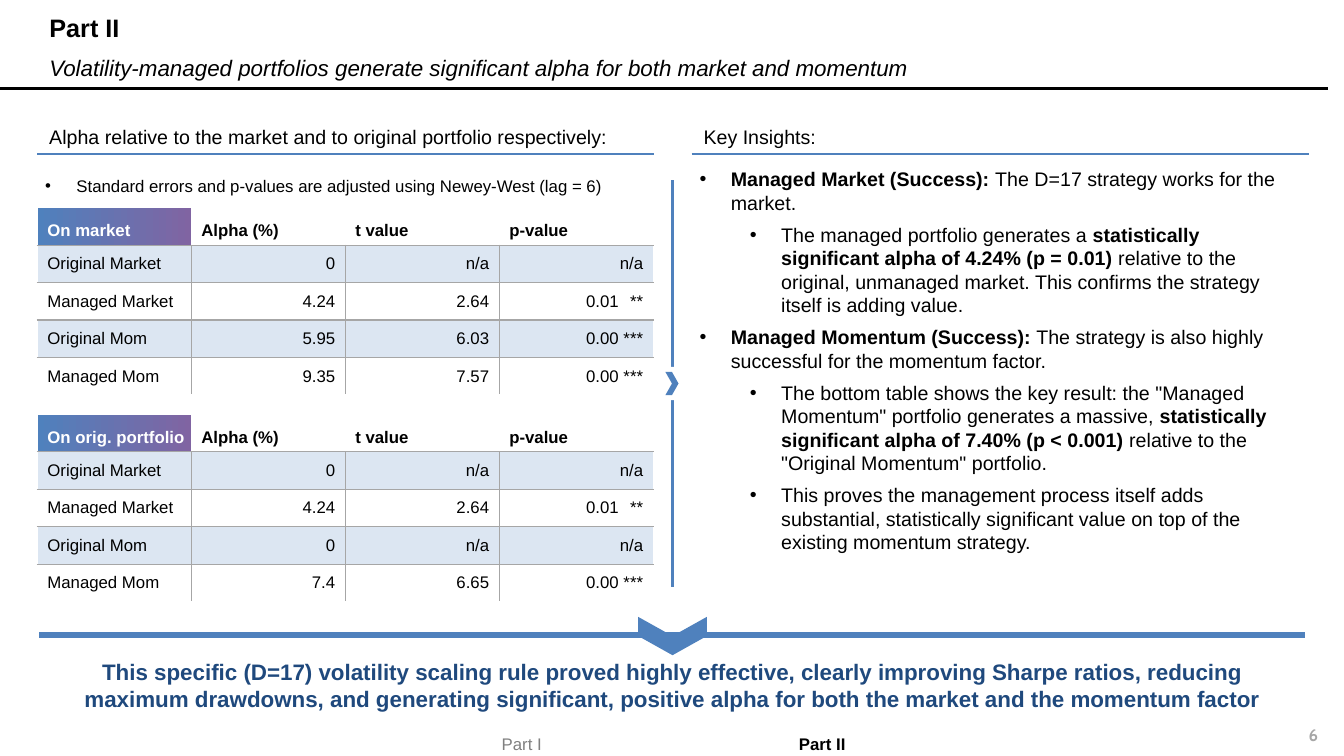
"""Builds the Part II slide on volatility-managed portfolios."""
from dataclasses import dataclass

from lxml import etree
from pptx import Presentation
from pptx import util as u
from pptx.dml.color import RGBColor
from pptx.enum import shapes, text
from pptx.oxml import ns


@dataclass(frozen=True)
class Theme:
    font: str = "Arial"
    number_font: str = "Cabin"
    black: str = "000000"
    white: str = "FFFFFF"
    blue: str = "4F81BD"
    purple: str = "8064A2"
    navy: str = "1F497D"
    band: str = "DCE6F2"
    rule: str = "A6A6A6"
    muted: str = "808080"
    title: int = 18
    lead: int = 16
    body: int = 14
    small: int = 12


LEFT, CENTER, RIGHT = text.PP_ALIGN.LEFT, text.PP_ALIGN.CENTER, text.PP_ALIGN.RIGHT
TOP, MIDDLE, BOTTOM = text.MSO_ANCHOR.TOP, text.MSO_ANCHOR.MIDDLE, text.MSO_ANCHOR.BOTTOM


class SlideBuilder:
    def __init__(self, deck, theme):
        self.theme = theme
        self.page = deck.slides.add_slide(deck.slide_layouts[5])

    def span(self, para, words, size, color=None, bold=False, italic=False, font=None):
        span = para.add_run()
        span.text = words
        span.font.name = font or self.theme.font
        span.font.size = u.Pt(size)
        span.font.bold = bold
        span.font.italic = italic
        span.font.color.rgb = RGBColor.from_string(color or self.theme.black)
        return span

    def frame(self, box, at, anchor=TOP, inset=True):
        box.left, box.top, box.width, box.height = map(u.Inches, at)
        frame = box.text_frame
        frame.word_wrap = True
        frame.auto_size = text.MSO_AUTO_SIZE.NONE
        frame.vertical_anchor = anchor
        if not inset:
            frame.margin_left = frame.margin_right = 0
            frame.margin_top = frame.margin_bottom = 0
        return frame

    def line_of_text(self, box, at, words, size, align=LEFT, anchor=TOP, inset=True,
                     spacing=None, **look):
        para = self.frame(box, at, anchor, inset).paragraphs[0]
        para.alignment = align
        if spacing:
            para.line_spacing = spacing
        self.span(para, words, size, **look)

    def title(self, at, words):
        self.line_of_text(self.page.shapes.title, at, words, self.theme.title,
                          anchor=BOTTOM, spacing=0.9, bold=True)

    def label(self, at, words, size, **look):
        box = self.page.shapes.add_textbox(0, 0, 0, 0)
        self.line_of_text(box, at, words, size, **look)

    def bullets(self, at, items, size, before=0):
        frame = self.frame(self.page.shapes.add_textbox(0, 0, 0, 0), at)
        for index, (level, spans) in enumerate(items):
            para = frame.add_paragraph() if index else frame.paragraphs[0]
            para.level = level
            para.space_before = u.Pt(before)
            props = para._p.get_or_add_pPr()
            props.set("marL", str(u.Inches(0.31 + 0.5 * level)))
            props.set("indent", str(u.Inches(-0.31)))
            etree.SubElement(props, ns.qn("a:buFont")).set("typeface", self.theme.font)
            etree.SubElement(props, ns.qn("a:buChar")).set("char", "•")
            for words, bold in spans:
                self.span(para, words, size, bold=bold)

    def line(self, start, end, color, width):
        line = self.page.shapes.add_connector(
            shapes.MSO_CONNECTOR.STRAIGHT, *map(u.Inches, start + end))
        line.line.color.rgb = RGBColor.from_string(color)
        line.line.width = u.Pt(width)
        etree.SubElement(line._element.spPr, ns.qn("a:effectLst"))

    def shape(self, kind, at, color, rotation=0):
        shape = self.page.shapes.add_shape(kind, *map(u.Inches, at))
        shape.shadow.inherit = False
        shape.fill.solid()
        shape.fill.fore_color.rgb = RGBColor.from_string(color)
        shape.line.fill.background()
        shape.rotation = rotation
        return shape

    def heading(self, left, words):
        at = (left + 0.02, 1.2, 6.1, 0.32)
        box = self.shape(shapes.MSO_SHAPE.RECTANGLE, at, self.theme.white)
        self.line_of_text(box, at, words, self.theme.body, anchor=MIDDLE)
        self.line((left, 1.53), (left + 6.12, 1.53), self.theme.blue, 1.5)

    def borders(self, cell, sides):
        props = cell._tc.get_or_add_tcPr()
        for index, (side, color) in enumerate(sides):
            edge = etree.Element(ns.qn(f"a:ln{side}"), w=str(u.Pt(1)))
            fill = etree.SubElement(edge, ns.qn("a:solidFill"))
            etree.SubElement(fill, ns.qn("a:srgbClr")).set("val", color)
            props.insert(index, edge)

    def cell_fill(self, cell, row, col):
        theme = self.theme
        if row == 0 and col == 0:
            cell.fill.gradient()
            cell.fill.gradient_angle = 0
            for stop, color in zip(cell.fill.gradient_stops, (theme.blue, theme.purple)):
                stop.color.rgb = RGBColor.from_string(color)
        elif row % 2:
            cell.fill.solid()
            cell.fill.fore_color.rgb = RGBColor.from_string(theme.band)
        else:
            cell.fill.background()

    def table(self, at, rows):
        theme = self.theme
        last_row, last_col = len(rows) - 1, len(rows[0]) - 1
        table = self.page.shapes.add_table(
            len(rows), len(rows[0]), *map(u.Inches, at)).table
        table.first_row = table.horz_banding = False
        for row, values in enumerate(rows):
            for col, value in enumerate(values):
                cell = table.cell(row, col)
                cell.vertical_anchor = MIDDLE if row else BOTTOM
                cell.margin_right = u.Inches(0.1 if row or col else 0.04)
                para = cell.text_frame.paragraphs[0]
                para.alignment = RIGHT if row and col else LEFT
                color = theme.black if row or col else theme.white
                number, gap, stars = value.partition(" ") if col == last_col else (value, "", "")
                self.span(para, number, theme.small, color, bold=row == 0)
                if gap:
                    space = self.span(para, gap, theme.small)
                    if stars == "**":
                        space._r.get_or_add_rPr().set("spc", "467")
                    self.span(para, stars, theme.small)
                self.cell_fill(cell, row, col)
                edges = (("L", col == 0), ("R", col == last_col),
                         ("T", row == 0), ("B", row == last_row))
                self.borders(cell, [
                    (side, theme.white if outer or (row == 0 and side in "LR") else theme.rule)
                    for side, outer in edges])


def main():
    theme = Theme()
    deck = Presentation()
    deck.slide_width, deck.slide_height = u.Inches(13.33), u.Inches(7.5)
    slide = SlideBuilder(deck, theme)

    slide.title((0.39, 0, 12.58, 0.48), "Part II")
    slide.label((0.39, 0.53, 12.58, 0.32),
                "Volatility-managed portfolios generate significant alpha for both market and momentum",
                theme.lead, anchor=MIDDLE, spacing=0.9, italic=True)
    slide.line((0, 0.88), (13.17, 0.88), theme.black, 2.25)

    slide.heading(0.37, "Alpha relative to the market and to original portfolio respectively:")
    slide.heading(6.86, "Key Insights:")

    slide.line((6.67, 1.79), (6.67, 5.82), theme.blue, 2.5)
    slide.shape(shapes.MSO_SHAPE.RECTANGLE, (6.6, 3.64, 0.13, 0.33), theme.white)
    slide.shape(shapes.MSO_SHAPE.CHEVRON, (6.6, 3.69, 0.13, 0.23), theme.blue)

    slide.bullets((0.35, 1.69, 6.31, 0.96), [
        (0, [("Standard errors and p-values are adjusted using Newey-West (lag = 6)", False)]),
    ], theme.small)
    columns = ["Alpha (%)", "t value", "p-value"]
    original_market = ["Original Market", "0", "n/a", "n/a"]
    managed_market = ["Managed Market", "4.24", "2.64", "0.01 **"]
    slide.table((0.37, 2.06, 6.11, 1.86), [
        ["On market", *columns], original_market, managed_market,
        ["Original Mom", "5.95", "6.03", "0.00 ***"],
        ["Managed Mom", "9.35", "7.57", "0.00 ***"]])
    slide.table((0.37, 4.11, 6.11, 1.86), [
        ["On orig. portfolio", *columns], original_market, managed_market,
        ["Original Mom", "0", "n/a", "n/a"],
        ["Managed Mom", "7.4", "6.65", "0.00 ***"]])

    slide.bullets((6.84, 1.61, 6.14, 4.21), [
        (0, [("Managed Market (Success): ", True),
             ("The D=17 strategy works for the market.", False)]),
        (1, [("The managed portfolio generates a ", False),
             ("statistically significant alpha of 4.24% (p = 0.01)", True),
             (" relative to the original, unmanaged market. This confirms the strategy itself is adding value.", False)]),
        (0, [("Managed Momentum (Success):", True),
             (" The strategy is also highly successful for the momentum factor.", False)]),
        (1, [('The bottom table shows the key result: the "Managed Momentum" portfolio generates a massive, ', False),
             ("statistically significant alpha of 7.40% (p < 0.001) ", True),
             ('relative to the "Original Momentum" portfolio.', False)]),
        (1, [("This proves the management process itself adds substantial, statistically significant value on top of the existing momentum strategy.", False)]),
    ], theme.body, before=6)

    slide.line((0.39, 6.3), (12.94, 6.3), theme.blue, 4)
    slide.shape(shapes.MSO_SHAPE.CHEVRON, (6.48, 5.97, 0.38, 0.68), theme.blue, 90)
    slide.label((0.37, 6.48, 12.6, 0.61),
                "This specific (D=17) volatility scaling rule proved highly effective, clearly improving Sharpe ratios, reducing maximum drawdowns, and generating significant, positive alpha for both the market and the momentum factor",
                theme.lead, align=CENTER, color=theme.navy, bold=True)

    for left, part, color, current in ((4.19, "Part I", theme.muted, False),
                                       (7.17, "Part II", theme.black, True)):
        slide.label((left, 7.28, 1.97, 0.2), part, theme.small, align=CENTER,
                    inset=False, color=color, bold=current)
    slide.label((12.49, 7.14, 0.68, 0.3), "6", theme.small, align=RIGHT,
                color=theme.rule, bold=True, font=theme.number_font)
    deck.save("out.pptx")


if __name__ == "__main__":
    main()
